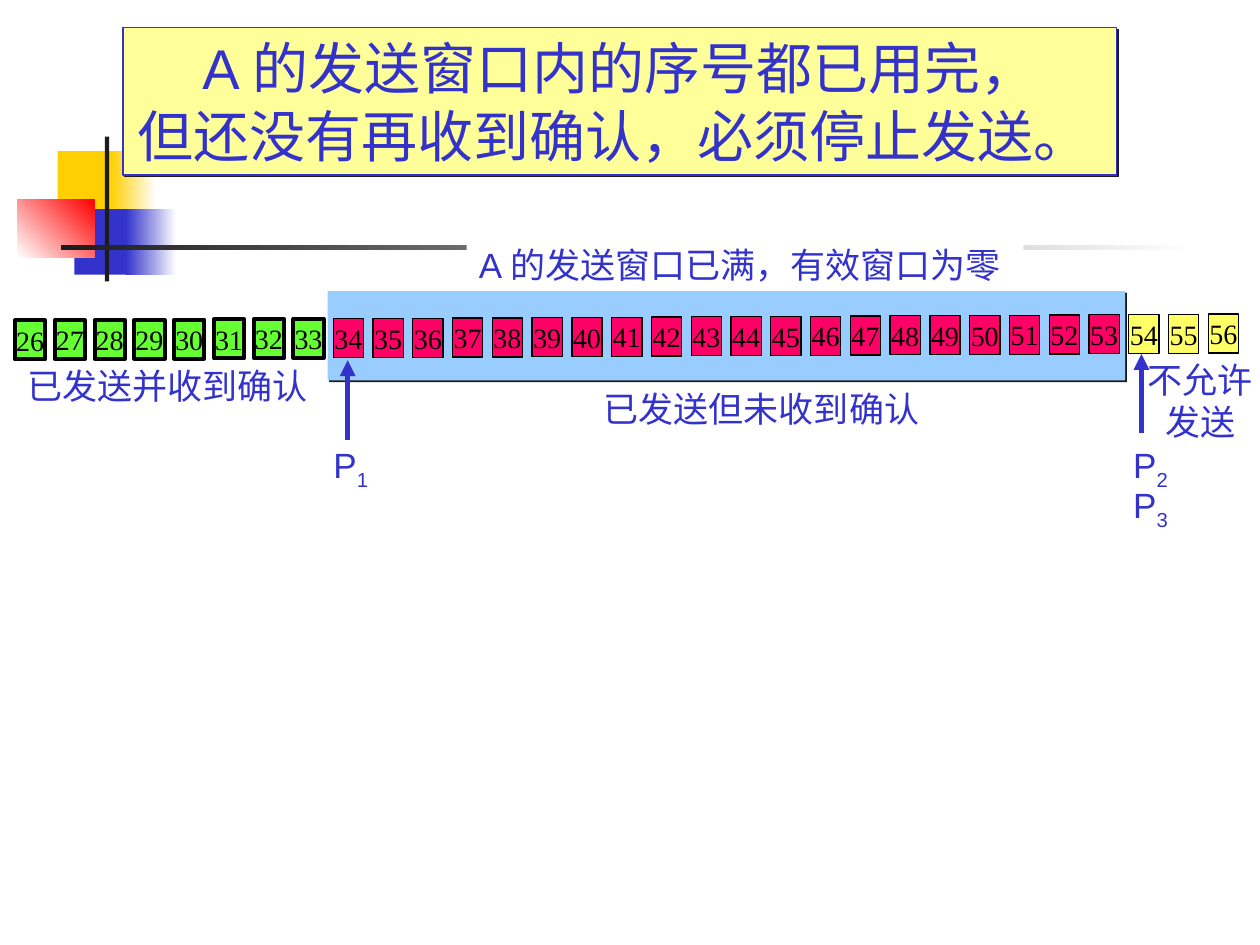
from lxml import etree
from pptx import Presentation
from pptx.dml.color import RGBColor
from pptx.enum import shapes, text
from pptx.oxml import ns
from pptx.util import Pt

BLUE = RGBColor(0x33, 0x33, 0xCC)
GOLD = RGBColor(0xFF, 0xCF, 0x01)
RED = RGBColor(0xFF, 0x00, 0x00)
DARK = RGBColor(0x1C, 0x1C, 0x1C)
WHITE = RGBColor(0xFF, 0xFF, 0xFF)
BLACK = RGBColor(0x00, 0x00, 0x00)
SKY = RGBColor(0x99, 0xCC, 0xFF)
CREAM = RGBColor(0xFF, 0xFF, 0x99)
GREEN = RGBColor(0x66, 0xFF, 0x33)
PINK = RGBColor(0xFF, 0x00, 0x66)
LEMON = RGBColor(0xFF, 0xFF, 0x66)
LEFT, MID = text.PP_ALIGN.LEFT, text.PP_ALIGN.CENTER
TOP, CORE = text.MSO_ANCHOR.TOP, text.MSO_ANCHOR.MIDDLE
FIT, FIXED = text.MSO_AUTO_SIZE.SHAPE_TO_FIT_TEXT, text.MSO_AUTO_SIZE.NONE
RECT = shapes.MSO_SHAPE.RECTANGLE

deck = Presentation()
deck.slide_width, deck.slide_height = Pt(720), Pt(540)
slide = deck.slides.add_slide(deck.slide_layouts[5])
tree = slide.shapes


def block(place, fill):
    """Add a flat rectangle with no line or shadow."""
    shape = tree.add_shape(RECT, *map(Pt, place))
    shape.shadow.inherit = False
    shape.line.fill.background()
    shape.fill.solid()
    shape.fill.fore_color.rgb = fill
    return shape


def write(shape, lines, size=20, face="Arial", color=BLUE, align=MID, anchor=TOP, fit=FIT):
    """Fill a shape with lines; the part of a line after "_" is a subscript."""
    frame = shape.text_frame
    looks = {"word_wrap": False, "auto_size": fit, "vertical_anchor": anchor,
             "margin_left": Pt(7.2), "margin_right": Pt(7.2),
             "margin_top": Pt(3.6), "margin_bottom": Pt(3.6)}
    for key, value in looks.items():
        setattr(frame, key, value)
    for row, line in enumerate(lines):
        para = frame.add_paragraph() if row else frame.paragraphs[0]
        para.alignment = align
        for part, words in enumerate(line.split("_")):
            run = para.add_run()
            run.text = words
            for key, value in {"size": Pt(size), "name": face}.items():
                setattr(run.font, key, value)
            run.font.color.rgb = color
            if part:
                run.font._element.set("baseline", "-25000")


# Corner ornament: the last two values are the fade's end colour and angle
for place, start, end, angle in [
    ((33, 86.4, 34.8, 37.4), GOLD, None, 0),
    ((63.4, 86.4, 25.9, 37.4), GOLD, WHITE, 0),
    ((42.5, 119.5, 33.1, 37.4), BLUE, None, 0),
    ((72, 119.5, 28.8, 37.4), BLUE, WHITE, 0),
    ((10, 113.8, 43.9, 33.1), WHITE, RED, 45),
    ((59.9, 78, 2.5, 82.8), DARK, None, 0),
    ((34.8, 140.2, 648, 2.5), DARK, WHITE, 0),
]:
    piece = block(place, start)
    if end is not None:
        piece.fill.gradient()
        piece.fill.gradient_angle = angle
        for stop, color in zip(piece.fill.gradient_stops, (start, end)):
            stop.color.rgb = color

# Labels around the window
for place, lines, align, fill in [
    ((647.7, 201.6, 76.2, 55.4), ["不允许", "发送"], MID, None),
    ((7.6, 204.5, 176.2, 31.7), ["已发送并收到确认"], MID, WHITE),
    ((266.6, 135.4, 318.2, 31.7), ["A 的发送窗口已满，有效窗口为零"], LEFT, WHITE),
    ((337.9, 217.7, 197, 31.7), ["已发送但未收到确认"], LEFT, None),
    ((182.5, 250, 36, 34.6), ["P_1"], MID, None),
    ((639.5, 250, 36, 34.6), ["P_2"], MID, None),
    ((639.5, 272.9, 36, 34.6), ["P_3"], MID, None),
]:
    label = tree.add_textbox(*map(Pt, place))
    if fill is not None:
        label.fill.solid()
        label.fill.fore_color.rgb = fill
    write(label, lines, align=align)

# Send window
window = block((187.2, 166.3, 455.8, 51.1), SKY)

# Numbered cells, in a row that rises slightly to the right
for step, number in enumerate(range(26, 57)):
    fill, width = (GREEN, 2.25) if number < 34 else (PINK, 0.75) if number < 54 else (LEMON, 0.75)
    cell = block((8.6 + 22.73 * step, 183.1 - 0.12 * step, 17.3, 22.3), fill)
    cell.line.color.rgb = BLACK
    cell.line.width = Pt(width)
    write(cell, [str(number)], 16, "Times New Roman", BLACK, anchor=CORE, fit=FIXED)

# Pointer arrows
for left, foot, head in [(198.7, 251.3, 205.9), (652.3, 247.7, 202.3)]:
    arrow = tree.add_connector(shapes.MSO_CONNECTOR.STRAIGHT, Pt(left), Pt(foot), Pt(left), Pt(head))
    arrow.line.color.rgb = BLUE
    arrow.line.width = Pt(3)
    etree.SubElement(arrow.line._get_or_add_ln(), ns.qn("a:tailEnd"), type="triangle")
    etree.SubElement(arrow._element.spPr, ns.qn("a:effectLst"))

# Title, in front of the ornament
title = tree.title
for key, value in {"left": 70.2, "top": 15.8, "width": 568, "height": 84.2}.items():
    setattr(title, key, Pt(value))
title.fill.solid()
title.fill.fore_color.rgb = CREAM
title.line.color.rgb = BLUE
title.line.width = Pt(0.75)
write(title, ["A 的发送窗口内的序号都已用完，", "但还没有再收到确认，必须停止发送。 "], 32)
tree._spTree.append(title._element)

# Hard shadows
for shape in (window, title):
    shape.shadow.inherit = False
    effects = shape._element.spPr.find(ns.qn("a:effectLst"))
    shade = etree.SubElement(effects, ns.qn("a:outerShdw"), dist=str(Pt(1.4)), dir="2700000",
                             algn="ctr", rotWithShape="0")
    etree.SubElement(shade, ns.qn("a:srgbClr"), val=str(DARK))

deck.save("out.pptx")
